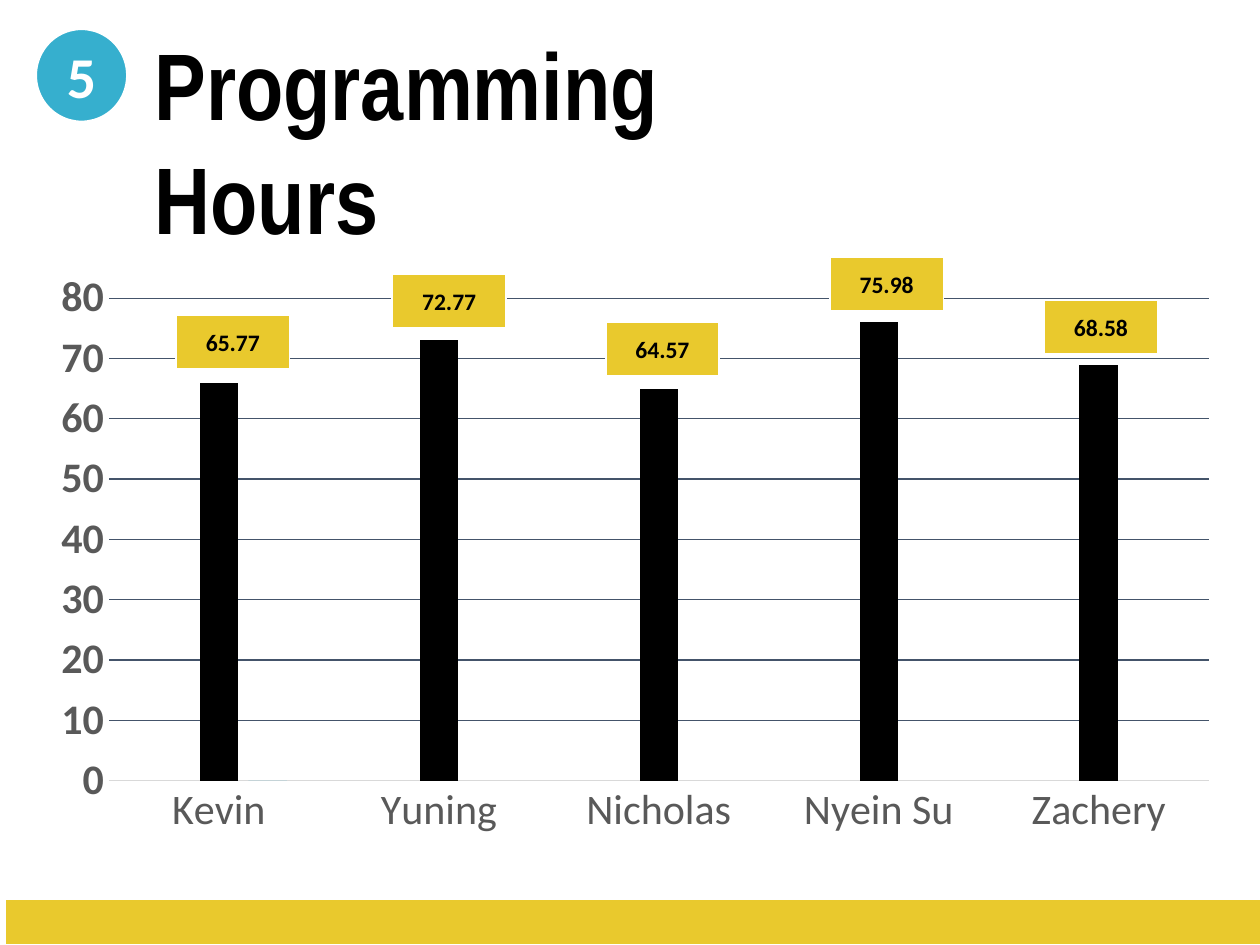
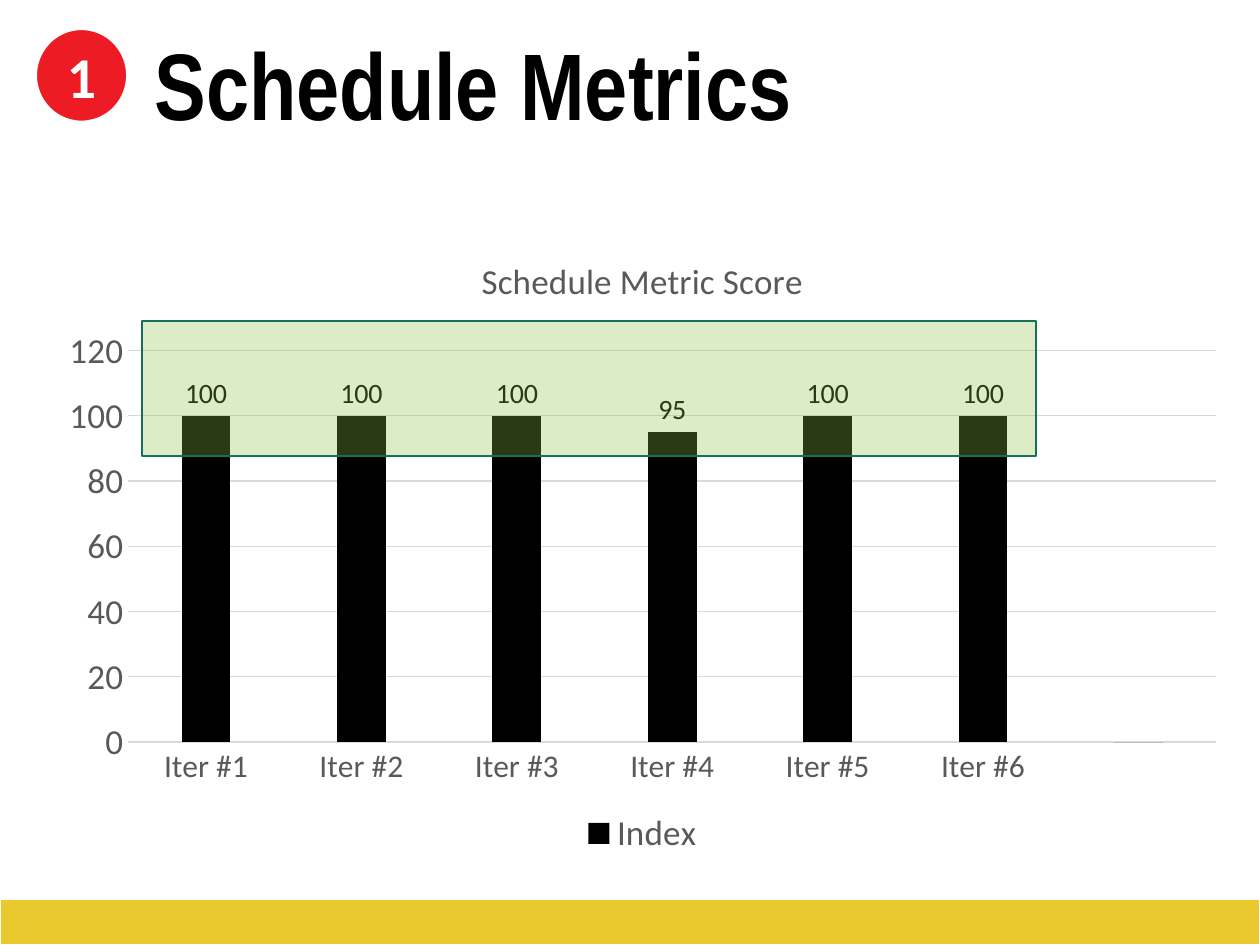
import pptx
import pptx.chart.data
import pptx.dml.color
import pptx.enum.chart
import pptx.enum.shapes
import pptx.enum.text
import pptx.oxml
import pptx.oxml.ns
import pptx.util

Cm = pptx.util.Cm
Pt = pptx.util.Pt
RGBColor = pptx.dml.color.RGBColor
Shape = pptx.enum.shapes.MSO_SHAPE

BLACK = RGBColor(0x00, 0x00, 0x00)
WHITE = RGBColor(0xFF, 0xFF, 0xFF)
GREY = RGBColor(0x59, 0x59, 0x59)
PALE = RGBColor(0xD9, 0xD9, 0xD9)
SLATE = RGBColor(0x44, 0x54, 0x6A)
GOLD = RGBColor(0xE9, 0xC9, 0x2D)
BLUE = RGBColor(0x36, 0xAF, 0xCE)
RED = RGBColor(0xED, 0x1C, 0x24)
RUST = RGBColor(0xDC, 0x5B, 0x1F)
LIME = RGBColor(0x8B, 0xC1, 0x45)
GREEN = RGBColor(0x15, 0x72, 0x59)


def add_box(slide, kind, spot, fill, text="", size=12, color=BLACK, edge=WHITE):
    """Add a filled preset shape with bold centred text; spot is in cm."""
    box = slide.shapes.add_shape(kind, *map(Cm, spot))
    box.shadow.inherit = False
    box.fill.solid()
    box.fill.fore_color.rgb = fill
    box.line.color.rgb = edge
    box.line.width = Pt(1)
    if text:
        frame = box.text_frame
        frame.text = text
        frame.vertical_anchor = pptx.enum.text.MSO_ANCHOR.MIDDLE
        para = frame.paragraphs[0]
        para.alignment = pptx.enum.text.PP_ALIGN.CENTER
        font = para.runs[0].font
        font.name, font.size, font.bold = "Calibri", Pt(size), True
        font.color.rgb = color
    return box


def add_bars(slide, spot, names, series, step, top, sizes, grid, layout):
    """Add a column chart; series holds (name, values, colour), layout the plot area."""
    data = pptx.chart.data.CategoryChartData()
    data.categories = names
    for name, values, color in series:
        data.add_series(name, values)
    kind = pptx.enum.chart.XL_CHART_TYPE.COLUMN_CLUSTERED
    chart = slide.shapes.add_chart(kind, *map(Cm, spot), data).chart
    chart.font.name, chart.font.size = "Calibri", Pt(10)
    chart.has_legend = chart.has_title = False
    plot = chart.plots[0]
    plot.vary_by_categories = False
    plot.gap_width, plot.overlap = 219, -27
    for item, (name, values, color) in zip(plot.series, series):
        item.format.fill.solid()
        item.format.fill.fore_color.rgb = color
    for axis, size in zip((chart.category_axis, chart.value_axis), sizes):
        axis.major_tick_mark = pptx.enum.chart.XL_TICK_MARK.NONE
        font = axis.tick_labels.font
        font.name, font.size = "Calibri", Pt(size)
        font.color.rgb = GREY
    base, scale = chart.category_axis, chart.value_axis
    base.format.line.color.rgb = PALE
    base.format.line.width = Pt(0.75)
    scale.format.line.fill.background()
    scale.minimum_scale, scale.maximum_scale, scale.major_unit = 0, top, step
    scale.major_gridlines.format.line.color.rgb = grid
    scale.major_gridlines.format.line.width = Pt(0.75)
    marks = "".join(f'<c:{key} val="{val}"/>' for key, val in (
        ("layoutTarget", "inner"), ("xMode", "edge"), ("yMode", "edge"),
        *zip("xywh", layout)))
    area = chart.element.xpath(".//c:plotArea")[0]
    for old in area.xpath("c:layout"):
        area.remove(old)
    area.insert(0, pptx.oxml.parse_xml(
        f'<c:layout {pptx.oxml.ns.nsdecls("c")}>'
        f'<c:manualLayout>{marks}</c:manualLayout></c:layout>'))
    return chart


deck = pptx.Presentation()
deck.slide_width, deck.slide_height = Cm(25.4), Cm(19.05)
blank = deck.slide_layouts[6]

# Badge, title and footer band of both slides
pages = []
for number, color, title, left in (("5", BLUE, "Programming Hours", 0.1),
                                   ("1", RED, "Schedule Metrics", 0)):
    slide = deck.slides.add_slide(blank)
    add_box(slide, Shape.OVAL, (0.73, 0.59, 1.83, 1.86), color, number, 33, WHITE)
    add_box(slide, Shape.RECTANGLE, (left, 18.13, 25.4, 0.91), GOLD)
    head = slide.shapes.add_textbox(Cm(2.87), Cm(0.41), Cm(14.38), Cm(2.57))
    head.text_frame.word_wrap = True
    head.text_frame.text = title
    font = head.text_frame.paragraphs[0].runs[0].font
    font.name, font.size, font.bold = "Arial Narrow", Pt(54), True
    font.color.rgb = BLACK
    pages.append(slide)
hours, score = pages

# Programming hours: name, hours, left and top of the tag
team = (("Kevin", 65.77, 3.55, 6.35), ("Yuning", 72.77, 7.91, 5.53),
        ("Nicholas", 64.57, 12.21, 6.49), ("Nyein Su", 75.98, 16.73, 5.18),
        ("Zachery", 68.58, 21.05, 6.05))
chart = add_bars(
    hours, (0.75, 5.3, 24.1, 11.86), [row[0] for row in team],
    (("Series 1", [None] * 5, RUST),
     ("Series 2", [round(row[1]) for row in team], BLACK),
     ("Series 3", [0] + [None] * 4, BLUE)),
    10, 80, (24, 24), SLATE, (0.06, 0.06, 0.92, 0.82))
chart.value_axis.tick_labels.font.bold = True
for name, value, left, top in team:
    add_box(hours, Shape.RECTANGLE, (left, top, 2.29, 1.09), GOLD, str(value), 13.5)

# Schedule score, with an empty seventh slot
chart = add_bars(
    score, (0.9, 4.65, 24.1, 12.73), [f"Iter #{n}" for n in range(1, 7)] + [""],
    (("Index", (100, 100, 100, 95, 100, 100, 0), BLACK),),
    20, 120, (18, 20), PALE, (0.07, 0.19, 0.91, 0.62))
chart.has_title = True
chart.chart_title.text_frame.text = "Schedule Metric Score"
chart.has_legend = True
chart.legend.position = pptx.enum.chart.XL_LEGEND_POSITION.BOTTOM
chart.legend.include_in_layout = False
for font in (chart.chart_title.text_frame.paragraphs[0].runs[0].font,
             chart.legend.font):
    font.name, font.size, font.bold = "Calibri", Pt(20), False
    font.color.rgb = GREY
tags = chart.plots[0].series[0].data_labels
tags.show_value = True
tags.position = pptx.enum.chart.XL_LABEL_POSITION.OUTSIDE_END
tags.number_format, tags.number_format_is_linked = "0;;;", False
tags.font.name, tags.font.size = "Calibri", Pt(16)
tags.font.color.rgb = BLACK

zone = add_box(score, Shape.RECTANGLE, (2.86, 6.47, 18.03, 2.73), LIME, edge=GREEN)
tint = zone.element.xpath("p:spPr/a:solidFill/a:srgbClr")[0]
tint.append(pptx.oxml.parse_xml(
    f'<a:alpha {pptx.oxml.ns.nsdecls("a")} val="30000"/>'))

deck.save("out.pptx")
